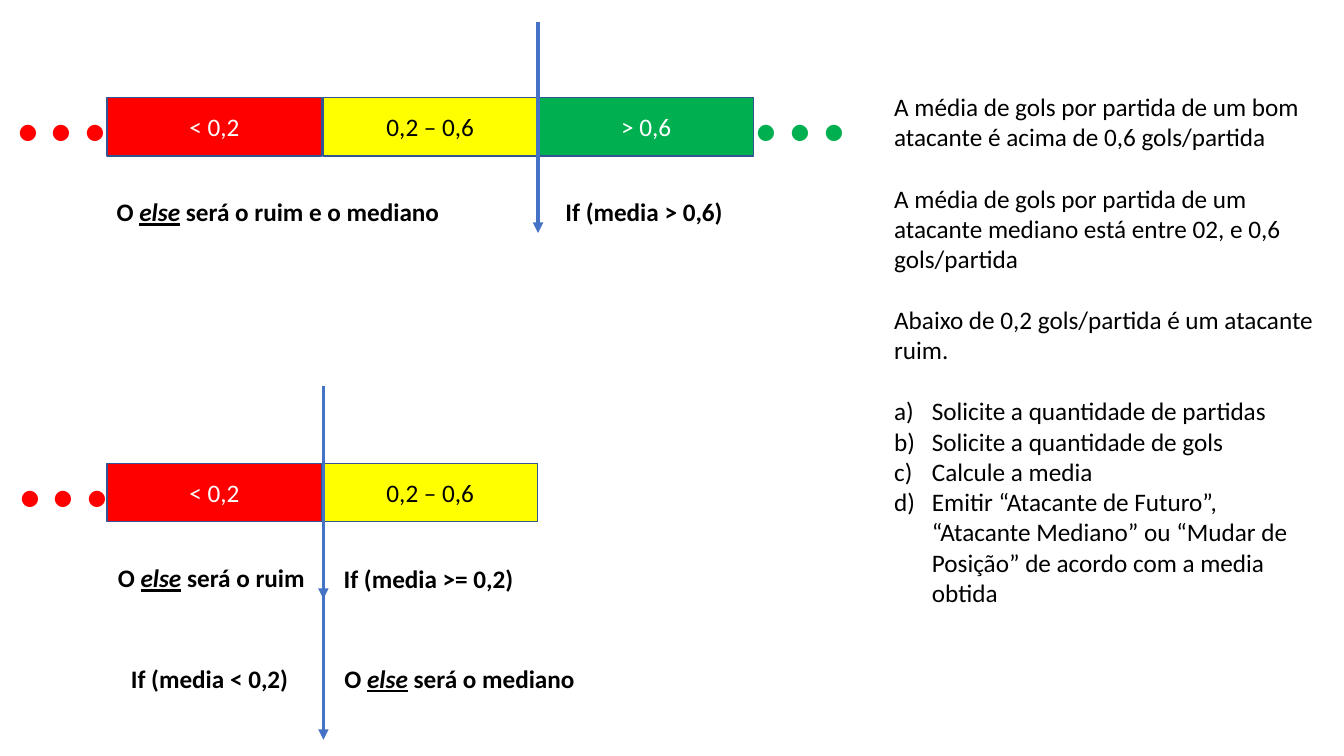
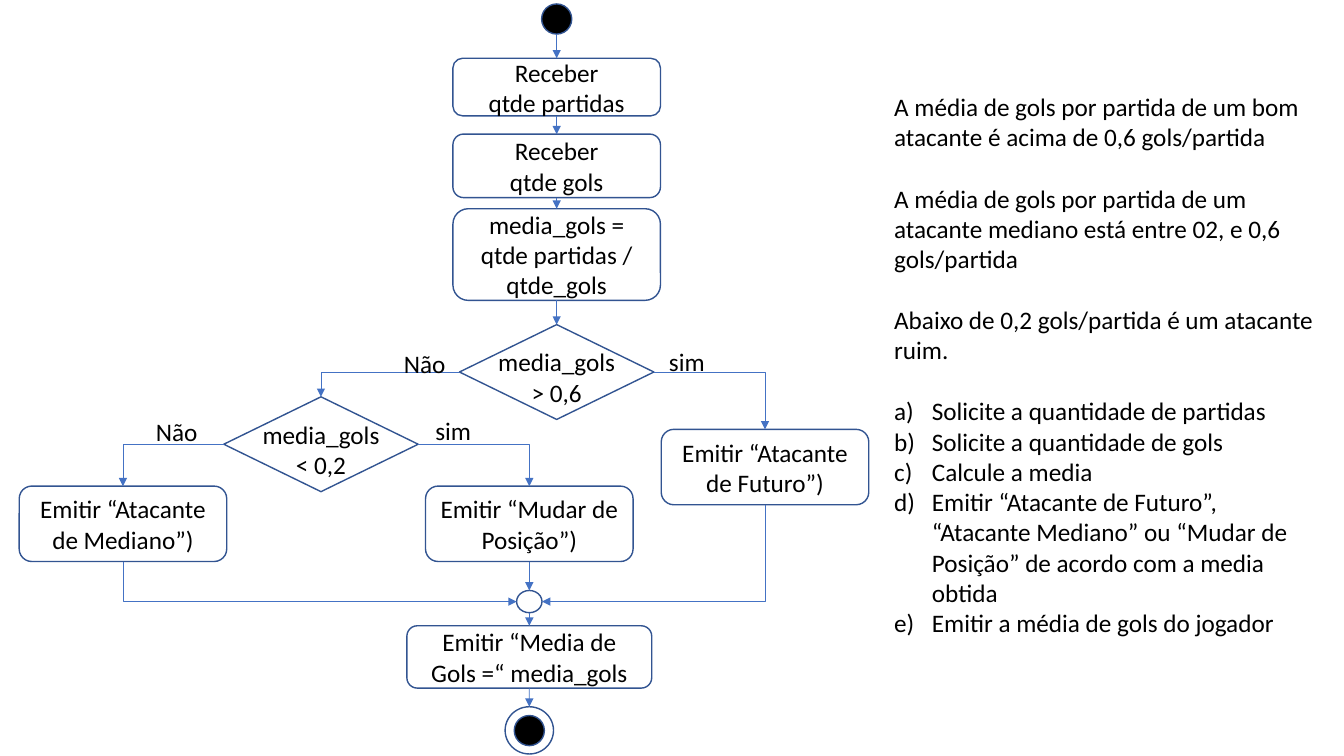
"""Build two slides that explain a striker rating decision and its flowchart."""
from lxml.etree import SubElement
from pptx import Presentation
from pptx.dml.color import RGBColor
from pptx.enum.shapes import MSO_CONNECTOR, MSO_SHAPE
from pptx.enum.text import MSO_ANCHOR, MSO_AUTO_SIZE, PP_ALIGN
from pptx.oxml.ns import qn
from pptx.util import Cm, Pt

FONT = "Calibri"
BLACK = RGBColor(0x00, 0x00, 0x00)
WHITE = RGBColor(0xFF, 0xFF, 0xFF)
RED = RGBColor(0xFF, 0x00, 0x00)
YELLOW = RGBColor(0xFF, 0xFF, 0x00)
GREEN = RGBColor(0x00, 0xB0, 0x50)
OUTLINE = RGBColor(0x32, 0x54, 0x91)
ARROW = RGBColor(0x44, 0x72, 0xC4)

RULES = [
    "A média de gols por partida de um bom atacante é acima de 0,6 gols/partida",
    "A média de gols por partida de um atacante mediano está entre 02, e 0,6 gols/partida",
    "Abaixo de 0,2 gols/partida é um atacante ruim.",
]
TASKS = [
    "Solicite a quantidade de partidas",
    "Solicite a quantidade de gols",
    "Calcule a media",
    "Emitir “Atacante de Futuro”, “Atacante Mediano” ou “Mudar de Posição” "
    "de acordo com a media obtida",
]
EXTRA_TASK = "Emitir a média de gols do jogador"

RANGES = [("< 0,2", RED, WHITE), ("0,2 – 0,6", YELLOW, BLACK), ("> 0,6", GREEN, WHITE)]
SCALES = [(2.46, 3), (11.68, 2)]
RANGE_LEFT, RANGE_STEP, RANGE_WIDTH, RANGE_HEIGHT = 2.7, 5.44, 5.41, 1.47
DOTS_RISE = 2.43
DOTS = [(0.03, 2.46, RED), (18.64, 2.46, GREEN), (0.08, 11.68, RED)]
CUTS = [(13.56, 0.56, 5.87), (8.15, 9.78, 15.09), (8.15, 9.73, 18.64)]
CONDITIONS = [
    ("If (media > 0,6)", 14.0, 4.83, 4.6),
    ("O else será o ruim e o mediano", 2.69, 4.83, 9.32),
    ("O else será o ruim", 2.72, 14.05, 5.4),
    ("If (media >= 0,2)", 8.41, 14.07, 5.4),
    ("If (media < 0,2)", 3.05, 16.59, 5.4),
    ("O else será o mediano", 8.43, 16.59, 6.63),
]

BOX, DIAMOND, CIRCLE = MSO_SHAPE.ROUNDED_RECTANGLE, MSO_SHAPE.DIAMOND, MSO_SHAPE.OVAL
TRUNK, MERGE, LEFT, MIDDLE, RIGHT = 14.03, 13.34, 3.1, 8.09, 19.28
NODES = {
    "start": (CIRCLE, TRUNK, 0.1, 0.76, 0.76, [], BLACK),
    "matches": (BOX, TRUNK, 1.47, 5.23, 1.45, ["Receber", "qtde partidas"], None),
    "goals": (BOX, TRUNK, 3.38, 5.23, 1.6, ["Receber", "qtde gols"], None),
    "mean": (BOX, TRUNK, 5.26, 5.23, 2.31,
             ["media_gols =", "qtde partidas /", "qtde_gols"], None),
    "is good": (DIAMOND, TRUNK, 8.18, 4.9, 2.39, ["media_gols", "> 0,6"], None),
    "is bad": (DIAMOND, MIDDLE, 10.0, 4.9, 2.39, ["media_gols", "< 0,2"], None),
    "good": (BOX, RIGHT, 10.82, 5.23, 1.9, ["Emitir “Atacante de Futuro”)"], None),
    "average": (BOX, LEFT, 12.25, 5.23, 1.9, ["Emitir “Atacante de Mediano”)"], None),
    "bad": (BOX, MERGE, 12.25, 5.23, 1.9, ["Emitir “Mudar de Posição”)"], None),
    "merge": (CIRCLE, MERGE, 14.88, 0.64, 0.56, [], None),
    "result": (BOX, MERGE, 15.77, 6.17, 1.57, ["Emitir “Media de Gols =“ media_gols"], None),
    "end dot": (CIRCLE, MERGE, 18.03, 0.76, 0.76, [], BLACK),
    "end": (CIRCLE, MERGE, 17.81, 1.22, 1.19, [], None),
}
STRAIGHT_FLOWS = [
    ("start", "matches"), ("matches", "goals"), ("goals", "mean"), ("mean", "is good"),
    ("bad", "merge"), ("merge", "result"), ("result", "end"),
]
BRANCHES = [
    ("is good", "left", "is bad"), ("is good", "right", "good"),
    ("is bad", "left", "average"), ("is bad", "right", "bad"),
]
JOINS = [("average", "left"), ("good", "right")]
ANSWERS = [("sim", 16.61, 8.59), ("Não", 9.93, 8.66), ("sim", 10.72, 10.34), ("Não", 3.68, 10.36)]


def format_paragraph(paragraph, color=BLACK, size=18, bold=False, align=PP_ALIGN.LEFT):
    paragraph.alignment = align
    font = paragraph.font
    font.name, font.size, font.bold = FONT, Pt(size), bold
    font.color.rgb = color


def add_lines(frame, lines):
    paragraphs = []
    for index, line in enumerate(lines):
        paragraph = frame.add_paragraph() if index else frame.paragraphs[0]
        paragraph.text = line
        paragraphs.append(paragraph)
    return paragraphs


def add_label(slide, text, left, top, width, height=1.02, **style):
    frame = slide.shapes.add_textbox(Cm(left), Cm(top), Cm(width), Cm(height)).text_frame
    frame.word_wrap = True
    paragraph = frame.paragraphs[0]
    for part in text.partition("else"):
        if part:
            run = paragraph.add_run()
            run.text = part
            if part == "else":
                run.font.italic = run.font.underline = True
    format_paragraph(paragraph, **style)


def add_block(slide, preset, left, top, width, height, lines, fill=None, color=BLACK):
    shape = slide.shapes.add_shape(preset, Cm(left), Cm(top), Cm(width), Cm(height))
    shape.shadow.inherit = False
    if fill is None:
        shape.fill.background()
    else:
        shape.fill.solid()
        shape.fill.fore_color.rgb = fill
    shape.line.color.rgb = OUTLINE
    shape.line.width = Pt(1)
    frame = shape.text_frame
    frame.vertical_anchor = MSO_ANCHOR.MIDDLE
    if preset == DIAMOND:
        frame.word_wrap = False
        frame.margin_top, frame.margin_bottom = Cm(0.25), Cm(0)
    for paragraph in add_lines(frame, lines):
        format_paragraph(paragraph, color, align=PP_ALIGN.CENTER)
    return shape


def add_arrow(slide, begin, end, width=0.5, kind=MSO_CONNECTOR.STRAIGHT):
    connector = slide.shapes.add_connector(kind, *map(int, begin + end))
    connector.line.color.rgb = ARROW
    connector.line.width = Pt(width)
    properties = connector.element.spPr
    SubElement(properties.find(qn("a:ln")), qn("a:tailEnd"), type="triangle")
    SubElement(properties, qn("a:effectLst"))
    if kind == MSO_CONNECTOR.ELBOW:
        properties.find(qn("a:prstGeom")).set("prst", "bentConnector2")
    return connector


def add_vertical_first_arrow(slide, begin, end):
    """Draw an elbow that goes down before it turns, as a quarter-turned connector."""
    center_x, center_y = (begin[0] + end[0]) / 2, (begin[1] + end[1]) / 2
    half_run, half_drop = (end[0] - begin[0]) / 2, (end[1] - begin[1]) / 2
    connector = add_arrow(
        slide, (center_x - half_drop, center_y + half_run),
        (center_x + half_drop, center_y - half_run), kind=MSO_CONNECTOR.ELBOW)
    connector.element.spPr.find(qn("a:xfrm")).set("rot", str(90 * 60000))


def side(shape, name):
    across, down = {"top": (0.5, 0), "bottom": (0.5, 1), "left": (0, 0.5), "right": (1, 0.5)}[name]
    return shape.left + shape.width * across, shape.top + shape.height * down


def add_exercise_slide(presentation, tasks, height):
    slide = presentation.slides.add_slide(presentation.slide_layouts[1])
    title, body = slide.shapes.title, slide.placeholders[1]
    title.element.getparent().remove(title.element)
    body.left, body.top, body.width, body.height = Cm(22.28), Cm(2.18), Cm(11.1), Cm(height)
    frame = body.text_frame
    frame.word_wrap = True
    frame.auto_size = MSO_AUTO_SIZE.NONE
    for index, paragraph in enumerate(add_lines(frame, RULES + tasks)):
        is_task = index >= len(RULES)
        paragraph.space_before = Pt(0)
        paragraph.space_after = Pt(0 if is_task else 22)
        properties = paragraph._p.get_or_add_pPr()
        indent = Cm(0.95) if is_task else 0
        properties.set("marL", str(indent))
        properties.set("indent", str(-indent))
        if is_task:
            SubElement(properties, qn("a:buFont"), typeface="+mj-lt")
            SubElement(properties, qn("a:buAutoNum"), type="alphaLcParenR")
        else:
            SubElement(properties, qn("a:buNone"))
        format_paragraph(paragraph)
    return slide


def build_scales(presentation):
    slide = add_exercise_slide(presentation, TASKS, 14.1)
    for top, count in SCALES:
        for index, (text, fill, color) in enumerate(RANGES[:count]):
            add_block(slide, MSO_SHAPE.RECTANGLE, RANGE_LEFT + index * RANGE_STEP, top,
                      RANGE_WIDTH, RANGE_HEIGHT, [text], fill, color)
    for left, top, color in DOTS:
        add_label(slide, "...", left, top - DOTS_RISE, 3.2, 4.37, color=color, size=96)
    for x, top, bottom in CUTS:
        add_arrow(slide, (Cm(x), Cm(top)), (Cm(x), Cm(bottom)), width=2.5)
    for text, left, top, width in CONDITIONS:
        add_label(slide, text, left, top, width, bold=True)


def build_flowchart(presentation):
    slide = add_exercise_slide(presentation, TASKS + [EXTRA_TASK], 14.88)
    nodes = {
        name: add_block(slide, preset, center - width / 2, top, width, height, lines, fill)
        for name, (preset, center, top, width, height, lines, fill) in NODES.items()
    }
    for source, target in STRAIGHT_FLOWS:
        add_arrow(slide, side(nodes[source], "bottom"), side(nodes[target], "top"))
    for source, exit_side, target in BRANCHES:
        add_arrow(slide, side(nodes[source], exit_side), side(nodes[target], "top"),
                  kind=MSO_CONNECTOR.ELBOW)
    for source, entry_side in JOINS:
        add_vertical_first_arrow(slide, side(nodes[source], "bottom"),
                                 side(nodes["merge"], entry_side))
    for text, left, top in ANSWERS:
        add_label(slide, text, left, top, 1.7)


presentation = Presentation()
presentation.slide_width, presentation.slide_height = Cm(33.87), Cm(19.05)
build_scales(presentation)
build_flowchart(presentation)
presentation.save("out.pptx")
